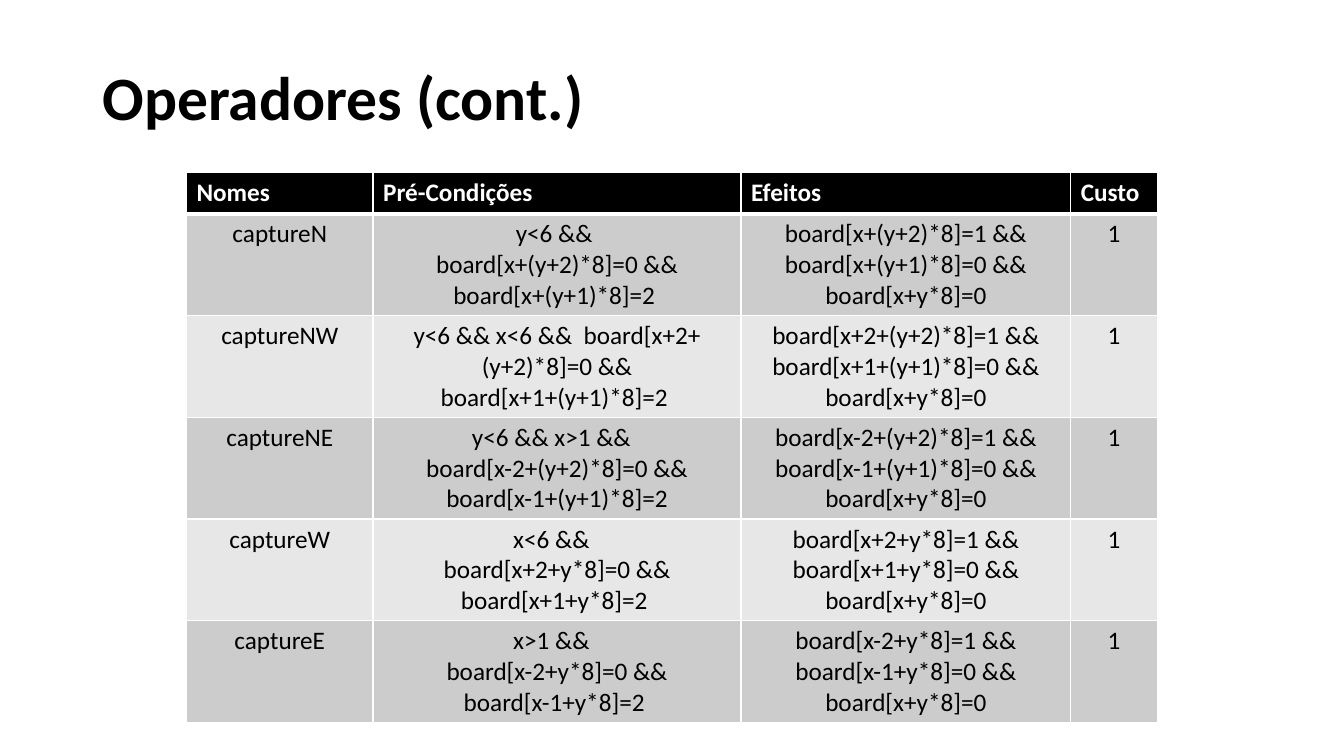
from lxml.etree import SubElement
from pptx import Presentation
from pptx.dml.color import RGBColor
from pptx.enum.text import MSO_ANCHOR, PP_ALIGN
from pptx.oxml.ns import qn
from pptx.util import Emu, Pt

PX = 9144
FONT = "Calibri"
BLACK = RGBColor(0x00, 0x00, 0x00)
WHITE = RGBColor(0xFF, 0xFF, 0xFF)
DARK_BAND = RGBColor(0xCC, 0xCC, 0xCC)
LIGHT_BAND = RGBColor(0xE7, 0xE7, 0xE7)

COLUMN_WIDTHS = [185, 365, 327, 86]
HEADER_HEIGHT = 41
ROW_HEIGHT = 101
HEADINGS = ["Nomes", "Pré-Condições", "Efeitos", "Custo"]
OPERATORS = [
    ("captureN",
     ["y<6 && ", "board[x+(y+2)*8]=0 &&", "board[x+(y+1)*8]=2 "],
     ["board[x+(y+2)*8]=1 &&", "board[x+(y+1)*8]=0 &&"]),
    ("captureNW",
     ["y<6 && x<6 &&  board[x+2+(y+2)*8]=0 &&", "board[x+1+(y+1)*8]=2 "],
     ["board[x+2+(y+2)*8]=1 &&", "board[x+1+(y+1)*8]=0 &&"]),
    ("captureNE",
     ["y<6 && x>1 &&  ", "board[x-2+(y+2)*8]=0 &&", "board[x-1+(y+1)*8]=2"],
     ["board[x-2+(y+2)*8]=1 &&", "board[x-1+(y+1)*8]=0 &&"]),
    ("captureW",
     ["x<6 &&  ", "board[x+2+y*8]=0 &&", "board[x+1+y*8]=2 "],
     ["board[x+2+y*8]=1 &&", "board[x+1+y*8]=0 &&"]),
    ("captureE",
     ["x>1 &&  ", "board[x-2+y*8]=0 &&", "board[x-1+y*8]=2 "],
     ["board[x-2+y*8]=1 &&", "board[x-1+y*8]=0 &&"]),
]
LEAVE_SQUARE = "board[x+y*8]=0"
COST = "1"


def px(length):
    return Emu(length * PX)


def add_span(para, text, size, color, bold):
    span = para.add_run()
    span.text = text
    span.font.name = FONT
    span.font.size = Pt(size)
    span.font.bold = bold
    span.font.color.rgb = color


def add_title(page, text):
    box = page.shapes.add_textbox(px(92), px(27), px(1150), px(145))
    frame = box.text_frame
    frame.word_wrap = True
    frame.vertical_anchor = MSO_ANCHOR.MIDDLE
    para = frame.paragraphs[0]
    para.line_spacing = 0.9
    add_span(para, text, 44, BLACK, True)


def set_borders(cell, widths):
    properties = cell._tc.get_or_add_tcPr()
    for side, width in widths.items():
        line = SubElement(properties, qn(f"a:ln{side}"), w=str(Pt(width)))
        fill = SubElement(line, qn("a:solidFill"))
        SubElement(fill, qn("a:srgbClr"), val=str(WHITE))


def fill_cell(cell, lines, fill, color, bold, align, top=1, bottom=1):
    set_borders(cell, {"L": 1, "R": 1, "T": top, "B": bottom})
    cell.fill.solid()
    cell.fill.fore_color.rgb = fill
    frame = cell.text_frame
    for index, line in enumerate(lines):
        para = frame.add_paragraph() if index else frame.paragraphs[0]
        para.alignment = align
        add_span(para, line, 18, color, bold)


def add_operator_table(page):
    height = HEADER_HEIGHT + ROW_HEIGHT * len(OPERATORS)
    table = page.shapes.add_table(
        len(OPERATORS) + 1, len(HEADINGS),
        px(185), px(171), px(sum(COLUMN_WIDTHS)), px(height)).table
    table.horz_banding = False
    for column, width in zip(table.columns, COLUMN_WIDTHS):
        column.width = px(width)
    for index, row in enumerate(table.rows):
        row.height = px(ROW_HEIGHT if index else HEADER_HEIGHT)

    for column, heading in enumerate(HEADINGS):
        fill_cell(table.cell(0, column), [heading], BLACK, WHITE, True,
                  PP_ALIGN.LEFT, bottom=3)
    for row, (name, conditions, effects) in enumerate(OPERATORS, 1):
        band = DARK_BAND if row % 2 else LIGHT_BAND
        contents = [[name], conditions, effects + [LEAVE_SQUARE], [COST]]
        for column, lines in enumerate(contents):
            fill_cell(table.cell(row, column), lines, band, BLACK, False,
                      PP_ALIGN.CENTER, top=3 if row == 1 else 1)


def main():
    deck = Presentation()
    deck.slide_width = px(1333)
    deck.slide_height = px(750)
    page = deck.slides.add_slide(deck.slide_layouts[6])
    add_title(page, "Operadores (cont.)")
    add_operator_table(page)
    deck.save("out.pptx")


if __name__ == "__main__":
    main()
